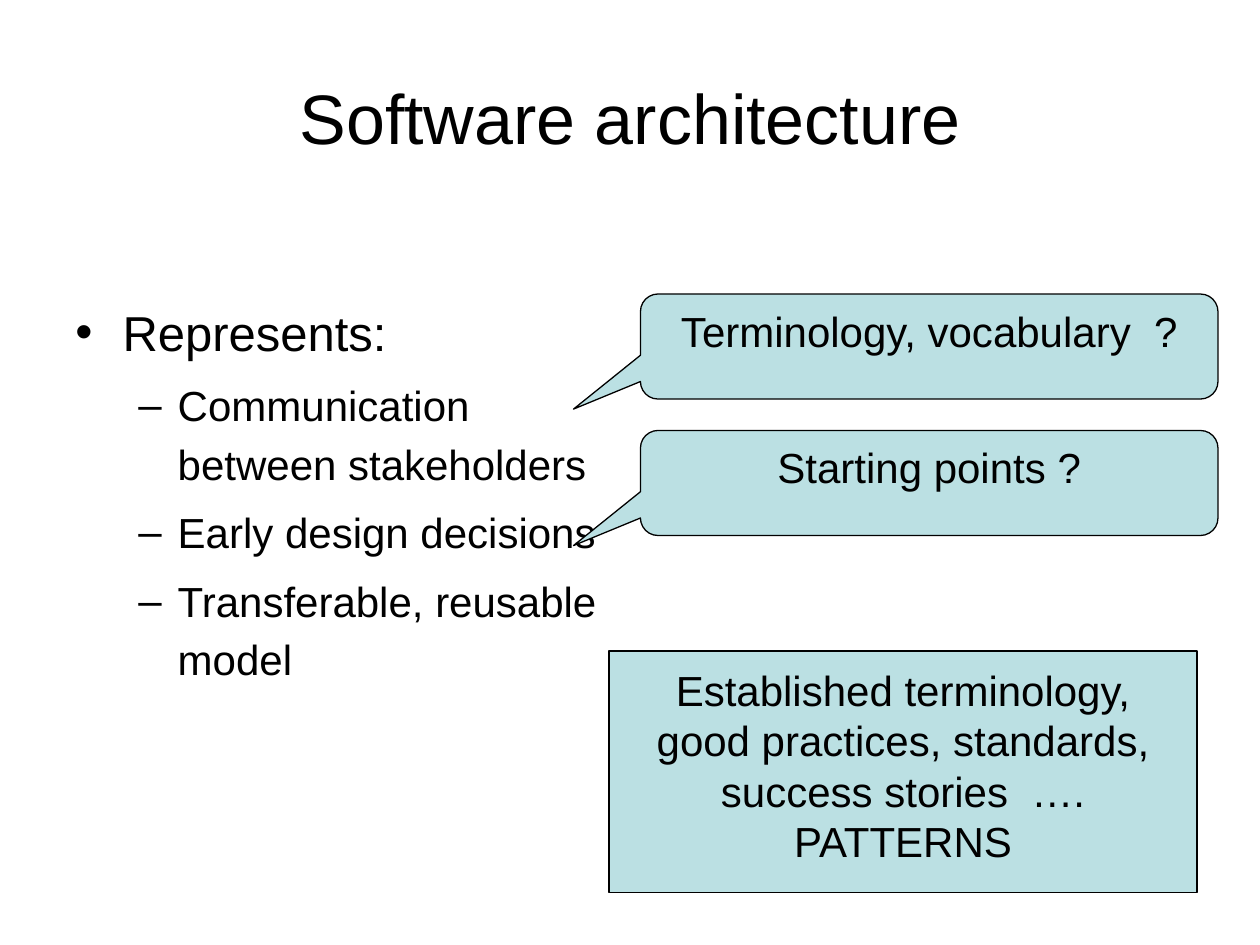
from lxml.etree import SubElement as Sub
from pptx import Presentation
from pptx.dml.color import RGBColor as RGB
from pptx.enum.shapes import MSO_SHAPE as Kind
from pptx.enum.text import MSO_ANCHOR as Anchor, PP_ALIGN as Align
from pptx.oxml.ns import qn
from pptx.util import Pt

INK = {"text": "000000", "fill": "BBE0E3", "line": "000000"}
FONT = "Arial"

TITLE = "Software architecture"
HEAD = "Represents:"
POINTS = [
    "Communication between stakeholders",
    "Early design decisions",
    "Transferable, reusable model",
]
CALLS = ["Terminology, vocabulary  ?", "Starting points ?"]
RESULT = [
    "Established terminology,",
    "good practices, standards,",
    "success stories  ….",
    "PATTERNS",
]


def color(name):
    return RGB.from_string(INK[name])


def write(frame, text, size=24, align=Align.CENTER, first=True,
          lead=None, before=0, mark=None, left=0, hang=0):
    para = frame.paragraphs[0] if first else frame.add_paragraph()
    para.alignment = align
    para.space_before = Pt(before)
    if lead:
        para.line_spacing = Pt(lead)
    if mark:
        props = para._p.get_or_add_pPr()
        props.set("marL", str(Pt(left)))
        props.set("indent", str(-Pt(hang)))
        tint = Sub(props, qn("a:buClr"))
        Sub(tint, qn("a:srgbClr")).set("val", INK["text"])
        Sub(props, qn("a:buFont")).set("typeface", FONT)
        Sub(props, qn("a:buChar")).set("char", mark)
    run = para.add_run()
    run.text = text
    run.font.size = Pt(size)
    run.font.name = FONT
    run.font.color.rgb = color("text")


def text_box(slide, box, anchor):
    frame = slide.shapes.add_textbox(*map(Pt, box)).text_frame
    frame.word_wrap = True
    frame.vertical_anchor = anchor
    return frame


def panel(slide, kind, box, anchor):
    shape = slide.shapes.add_shape(kind, *map(Pt, box))
    shape.shadow.inherit = False
    shape.fill.solid()
    shape.fill.fore_color.rgb = color("fill")
    shape.line.color.rgb = color("line")
    shape.line.width = Pt(0.75)
    shape.text_frame.vertical_anchor = anchor
    return shape


def main():
    deck = Presentation()
    deck.slide_width, deck.slide_height = Pt(720), Pt(540)
    slide = deck.slides.add_slide(deck.slide_layouts[6])

    write(text_box(slide, (36, 21.6, 648, 90), Anchor.MIDDLE), TITLE, size=40)

    body = text_box(slide, (36, 169.4, 318, 313), Anchor.TOP)
    write(body, HEAD, size=28, align=Align.LEFT, mark="•", left=27, hang=27)
    for point in POINTS:
        write(body, point, align=Align.LEFT, first=False, lead=33.3,
              before=6, mark="–", left=58.5, hang=22.5)

    for row, call in enumerate(CALLS):
        box = (366, 168 + 78 * row, 330, 60)
        shape = panel(slide, Kind.ROUNDED_RECTANGULAR_CALLOUT, box, Anchor.TOP)
        for spot, value in enumerate((-0.616, 0.596, 0.167)):
            shape.adjustments[spot] = value
        shape.text_frame.word_wrap = True
        write(shape.text_frame, call, lead=28.8)

    frame = panel(slide, Kind.RECTANGLE, (348, 372, 336, 138),
                  Anchor.MIDDLE).text_frame
    frame.word_wrap = False
    frame.margin_bottom = Pt(10.8)
    for row, line in enumerate(RESULT):
        write(frame, line, first=row == 0, lead=28.8)

    deck.save("out.pptx")


if __name__ == "__main__":
    main()
